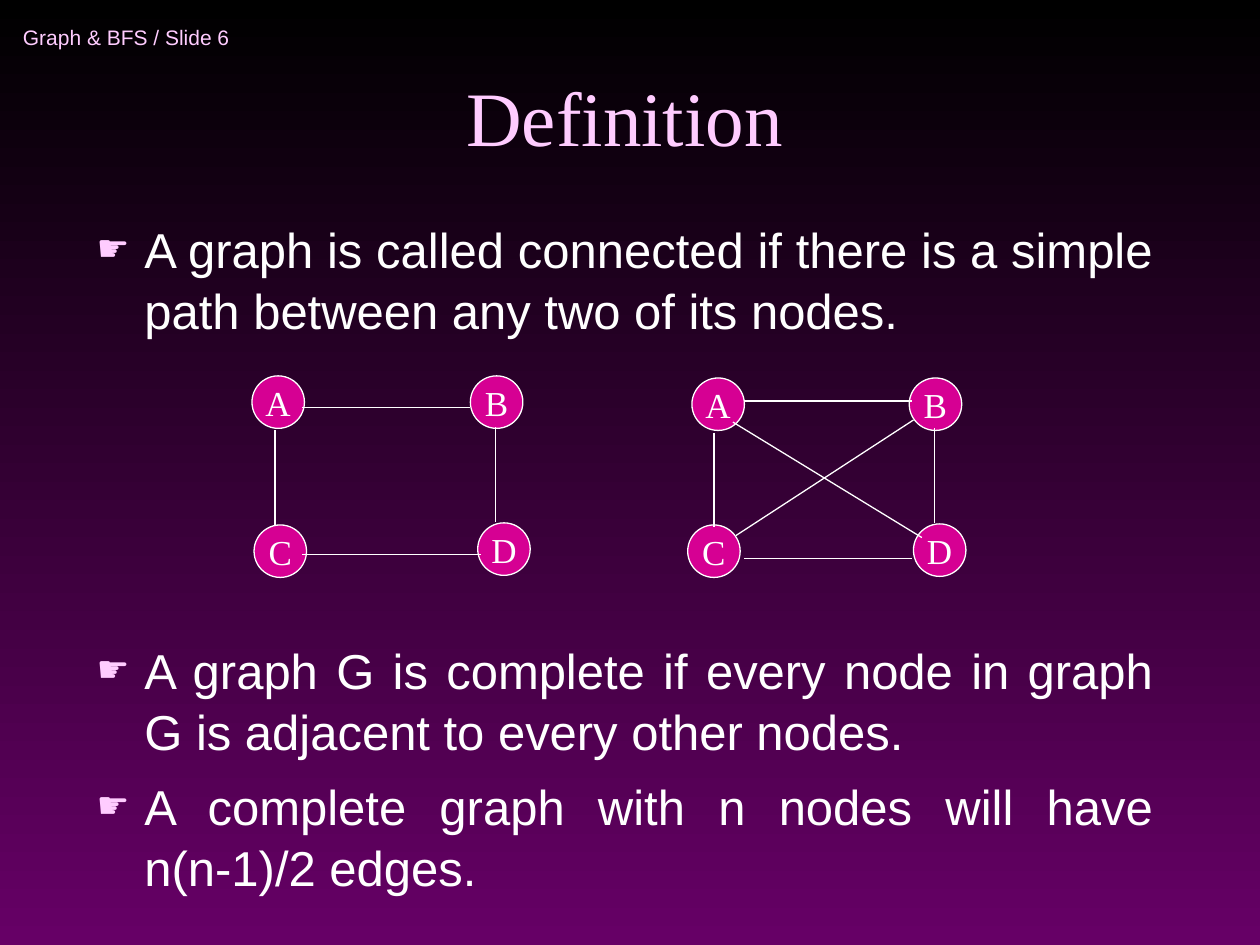
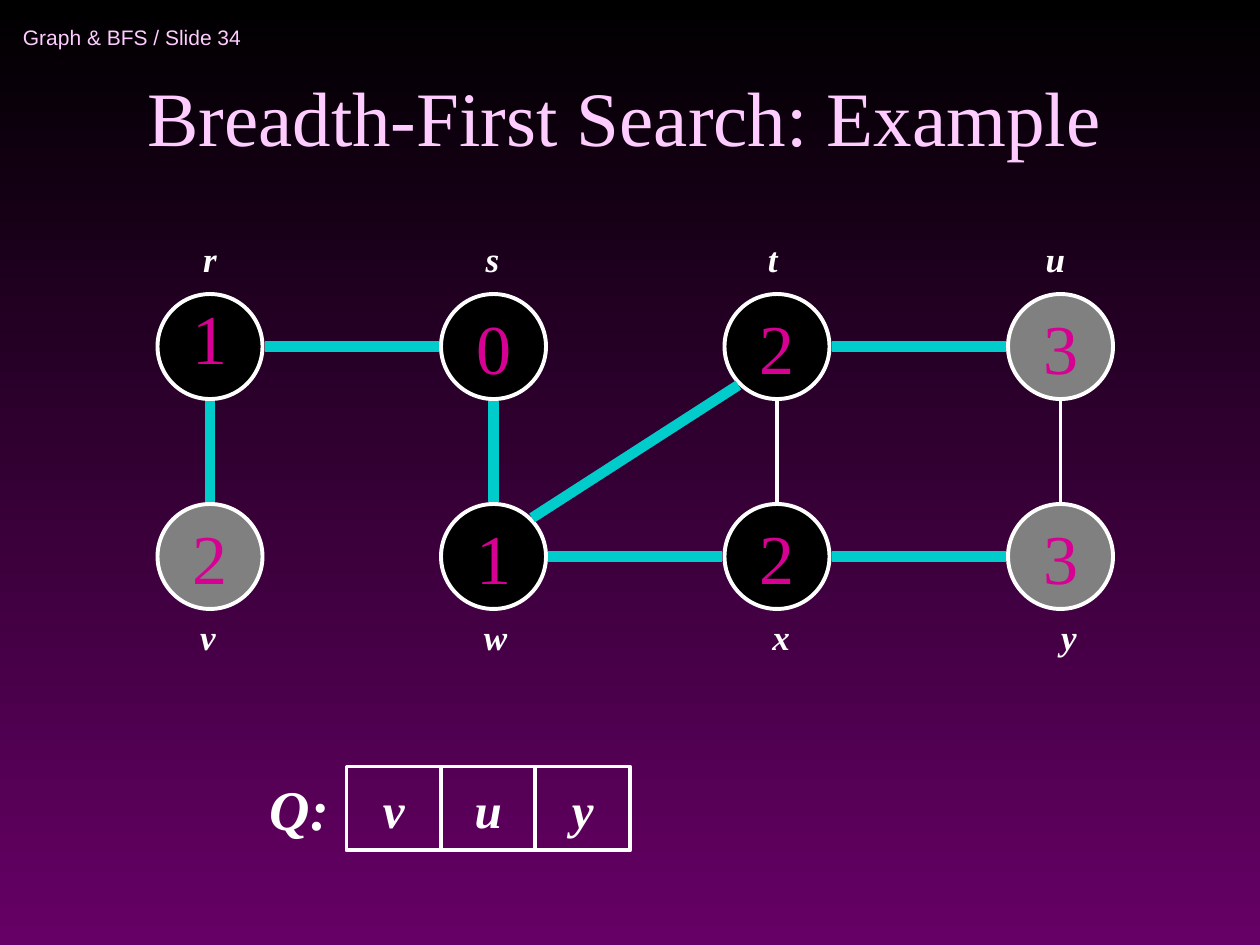
from math import hypot

from lxml.etree import SubElement
from pptx import Presentation
from pptx.dml.color import RGBColor
from pptx.enum.shapes import MSO_CONNECTOR, MSO_SHAPE
from pptx.enum.text import MSO_ANCHOR, MSO_AUTO_SIZE, PP_ALIGN
from pptx.oxml.ns import qn
from pptx.util import Inches, Pt

WHITE, PINK, MAGENTA = "FFFFFF", "FFCCFF", "D60093"
BLACK, GRAY, TEAL, PURPLE = "000000", "808080", "00CCCC", "660066"
SERIF, SANS = "Times New Roman", "Arial"
COLUMN = Inches(10) / 120
UNPLACED = (0, 0, 0, 0)


def write(box, text, at, size=20, font=SERIF, color=WHITE, slanted=False,
          align=PP_ALIGN.CENTER, anchor=MSO_ANCHOR.MIDDLE, wrap=False,
          spacing=1.0, before=0, fill=None, outline=0):
    box.left, box.top, box.width, box.height = [round(n * COLUMN) for n in at]
    if outline:
        box.shadow.inherit = False
        box.line.color.rgb = RGBColor.from_string(WHITE)
        box.line.width = Pt(outline)
        if fill:
            box.fill.solid()
            box.fill.fore_color.rgb = RGBColor.from_string(fill)
        else:
            box.fill.background()
    frame = box.text_frame
    frame.auto_size = MSO_AUTO_SIZE.NONE
    frame.word_wrap = wrap
    frame.vertical_anchor = anchor
    frame.text = text
    for para in frame.paragraphs:
        para.alignment = align
        para.line_spacing = spacing
        para.space_before = Pt(before)
        for span in para.runs:
            span.font.name = font
            span.font.size = Pt(size)
            span.font.color.rgb = RGBColor.from_string(color)
            span.font.bold = span.font.italic = slanted


def connect(page, ends, color=WHITE, width=0.75):
    edge = page.shapes.add_connector(
        MSO_CONNECTOR.STRAIGHT, *[round(n * COLUMN) for n in ends])
    edge.line.color.rgb = RGBColor.from_string(color)
    edge.line.width = Pt(width)
    SubElement(edge._element.spPr, qn("a:effectLst"))


deck = Presentation()
deck.slide_width, deck.slide_height = Inches(10), Inches(7.5)

backdrop = deck.slide_master.background.fill
backdrop.gradient()
backdrop.gradient_angle = 270
for stop, position, color in zip(backdrop.gradient_stops, (0, 1), (BLACK, PURPLE)):
    stop.position = position
    stop.color.rgb = RGBColor.from_string(color)

pages = []
for layout, number, title in [(1, 6, "Definition"),
                              (5, 34, "Breadth-First Search: Example")]:
    page = deck.slides.add_slide(deck.slide_layouts[layout])
    write(page.shapes.add_textbox(*UNPLACED), f"Graph & BFS / Slide {number}",
          (1, 1, 33, 5), size=12, font=SANS, color=PINK,
          align=PP_ALIGN.LEFT, wrap=True)
    write(page.shapes.title, title, (8, 3, 103, 13), size=44, color=PINK,
          anchor=MSO_ANCHOR.BOTTOM, wrap=True)
    pages.append(page)
definition, search = pages

definitions = [
    "A graph is called connected if there is a simple path between any two of its nodes.",
    "A graph G is complete if every node in graph G is adjacent to every other nodes.",
    "A complete graph with n nodes will have n(n-1)/2 edges.",
]
body = definition.placeholders[1]
write(body, "\n".join(definitions), (8, 20, 103, 65), size=28, font=SANS,
      align=PP_ALIGN.JUSTIFY, anchor=MSO_ANCHOR.TOP, wrap=True,
      spacing=1.05, before=7)
body.text_frame.paragraphs[1].space_before = Pt(170)
for para in body.text_frame.paragraphs:
    properties = para._p.get_or_add_pPr()
    properties.set("marL", str(Inches(0.38)))
    properties.set("indent", str(-Inches(0.38)))
    tint = SubElement(properties, qn("a:buClr"))
    SubElement(tint, qn("a:srgbClr"), val=PINK)
    SubElement(properties, qn("a:buSzPct"), val="75000")
    SubElement(properties, qn("a:buChar"), char="☛")

connected_graph = (
    {"A": (24, 35.8), "B": (44.8, 35.8), "C": (24.2, 50), "D": (45.5, 49.8)},
    [(26.2, 41, 26.2, 50), (28.8, 38.8, 44.8, 38.8),
     (47.2, 49.7, 47.2, 40.7), (28.8, 52.8, 45.8, 52.8)],
)
complete_graph = (
    {"C": (65.5, 50), "A": (65.9, 36), "B": (86.6, 36), "D": (87, 49.9)},
    [(68, 41.2, 68, 50.2), (70.9, 38.2, 86.9, 38.2),
     (89, 49.8, 89, 40.8), (70.9, 53.2, 86.9, 53.2),
     (69.8, 40.2, 87.8, 51.2), (87, 40, 70.1, 51)],
)
for nodes, edges in (connected_graph, complete_graph):
    for name, corner in nodes.items():
        write(definition.shapes.add_shape(MSO_SHAPE.OVAL, *UNPLACED), name,
              (*corner, 5, 5), fill=MAGENTA, outline=0.75)
    for ends in edges:
        connect(definition, ends)

vertices = [
    ("r", "1", BLACK, 20), ("s", "0", BLACK, 46.9),
    ("t", "2", BLACK, 73.6), ("u", "3", GRAY, 100.5),
    ("v", "2", GRAY, 19.8), ("w", "1", BLACK, 47.2),
    ("x", "2", BLACK, 74.4), ("y", "3", GRAY, 101.8),
]
centers = {}
for index, (name, distance, fill, label_center) in enumerate(vertices):
    row, column = divmod(index, 4)
    x, y = 20 + 27 * column, 33 + 20 * row
    centers[name] = x, y
    write(search.shapes.add_shape(MSO_SHAPE.OVAL, *UNPLACED), distance,
          (x - 5, y - 5, 10, 10), size=40, color=MAGENTA, fill=fill,
          outline=2.25, spacing=0.7 if name == "r" else 1.0)
    write(search.shapes.add_textbox(*UNPLACED), name,
          (label_center - 2, 22 + 36 * row, 4, 5.3), slanted=True,
          anchor=MSO_ANCHOR.TOP)

tree_edges = ["vr", "rs", "sw", "wt", "wx", "tu", "xy"]
for start, end in tree_edges + ["xt", "yu"]:
    (x1, y1), (x2, y2) = centers[start], centers[end]
    across, down = (x2 > x1) - (x2 < x1), (y2 > y1) - (y2 < y1)
    reach = 5.2 / hypot(across, down)
    ends = (x1 + reach * across, y1 + reach * down,
            x2 - reach * across, y2 - reach * down)
    if start + end in tree_edges:
        connect(search, ends, TEAL, 6)
    else:
        connect(search, ends, WHITE, 2.25)

write(search.shapes.add_textbox(*UNPLACED), "Q:", (24, 73, 9, 8),
      size=32, slanted=True)
for place, name in enumerate("vuy"):
    write(search.shapes.add_shape(MSO_SHAPE.RECTANGLE, *UNPLACED), name,
          (33 + 9 * place, 73, 9, 8), size=28, slanted=True, outline=2.25)

deck.save("out.pptx")
